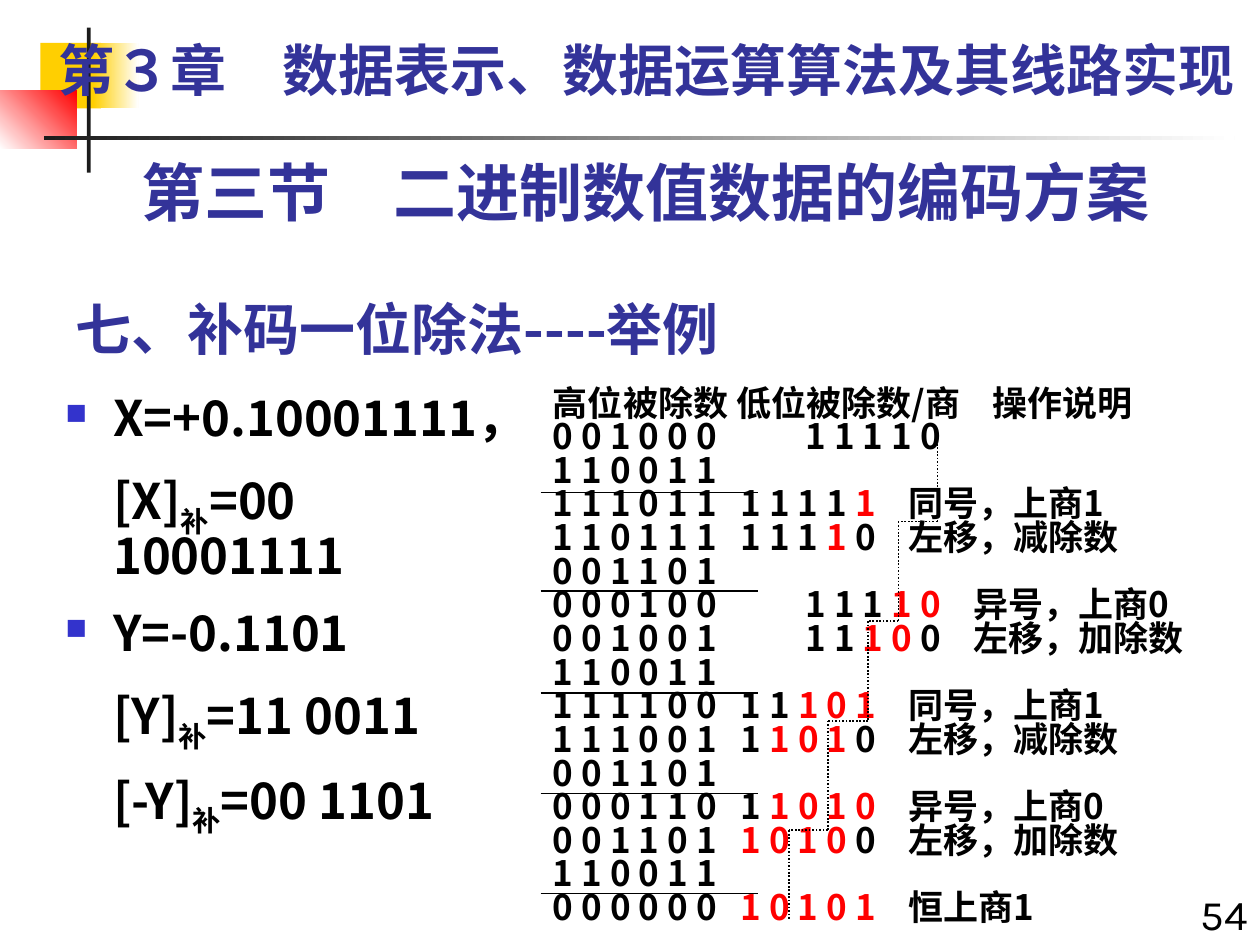
from dataclasses import dataclass
from itertools import pairwise
from typing import Optional

from lxml.etree import SubElement
from pptx import Presentation
from pptx.dml.color import RGBColor
from pptx.enum.dml import MSO_LINE_DASH_STYLE as Dash
from pptx.enum.shapes import MSO_CONNECTOR as Connector, MSO_SHAPE as Shape
from pptx.enum.text import MSO_ANCHOR as Anchor, PP_ALIGN as Align
from pptx.oxml.ns import qn
from pptx.util import Emu, Inches, Pt

COLUMNS, ROWS = 100, 75
UNIT = Inches(0.1)
BLACK = RGBColor(0x00, 0x00, 0x00)
WHITE = RGBColor(0xFF, 0xFF, 0xFF)
INK = RGBColor(0x1C, 0x1C, 0x1C)
GOLD = RGBColor(0xFF, 0xCF, 0x01)
RED = RGBColor(0xFF, 0x00, 0x00)
NAVY = RGBColor(0x33, 0x33, 0x99)
BULLET = RGBColor(0x33, 0x33, 0xCC)
SANS, KARLA, SERIF = "Noto Sans CJK SC", "Karla", "Times New Roman"


@dataclass(frozen=True)
class Box:
    left: float
    top: float
    width: float
    height: float


@dataclass(frozen=True)
class Block:
    box: Box
    start: RGBColor
    end: Optional[RGBColor] = None
    angle: float = 0


@dataclass(frozen=True)
class Run:
    text: str
    font: Optional[str] = None
    color: Optional[RGBColor] = None
    subscript: bool = False


@dataclass(frozen=True)
class Line:
    runs: tuple
    bullet: bool = False
    tabs: tuple = ()


@dataclass(frozen=True)
class Step:
    high: str
    black: str = ""
    red: str = ""
    tail: str = ""
    note: str = ""
    shifted: bool = False


BLOCKS = (
    Block(Box(3.2, 3.4, 4.8, 5.2), GOLD),
    Block(Box(7.4, 3.4, 3.6, 5.2), GOLD, WHITE),
    Block(Box(0, 7.2, 6.1, 4.6), WHITE, RED, 45),
    Block(Box(6.9, 2.2, 0.3, 11.5), INK),
    Block(Box(3.5, 10.8, 94.5, 0.3), INK, WHITE),
)
STEPS = (
    Step("0 0 1 0 0 0", "1 1 1 1 0", shifted=True),
    Step("1 1 0 0 1 1"),
    Step("1 1 1 0 1 1", "1 1 1 1 ", "1", note="同号，上商1"),
    Step("1 1 0 1 1 1", "1 1 1 ", "1 ", "0", "左移，减除数"),
    Step("0 0 1 1 0 1"),
    Step("0 0 0 1 0 0", "1 1 1 ", "1 0", note="异号，上商0", shifted=True),
    Step("0 0 1 0 0 1", "1 1 ", "1 0 ", "0", "左移，加除数", True),
    Step("1 1 0 0 1 1"),
    Step("1 1 1 1 0 0", "1 1 ", "1 0 1", note="同号，上商1"),
    Step("1 1 1 0 0 1", "1 ", "1 0 1 ", "0", "左移，减除数"),
    Step("0 0 1 1 0 1"),
    Step("0 0 0 1 1 0", "1 ", "1 0 1 0", note="异号，上商0"),
    Step("0 0 1 1 0 1", "", "1 0 1 0 ", "0", "左移，加除数"),
    Step("1 1 0 0 1 1"),
    Step("0 0 0 0 0 0", "", "1 0 1 0 1", note="恒上商1"),
)
RULE_ROWS = (39.1, 46.9, 55, 63, 70.9)
STAIR_COLUMNS = (74.4, 71.3, 68.9, 65.7, 62.6)
STAIR_ROWS = (34.4, 41.4, 49.3, 57.2, 65.9, 72.9)


def units(value: float) -> Emu:
    """Convert grid units to a length."""
    return Emu(round(value * UNIT))


def place(box: Box) -> tuple:
    """Return the position and size of a box as lengths."""
    return tuple(units(value) for value in (box.left, box.top, box.width, box.height))


def add_block(slide, block: Block) -> None:
    """Draw one plain or graded rectangle of the slide's ornament."""
    shape = slide.shapes.add_shape(Shape.RECTANGLE, *place(block.box))
    shape.shadow.inherit = False
    shape.line.fill.background()
    if block.end is None:
        shape.fill.solid()
        shape.fill.fore_color.rgb = block.start
        return
    shape.fill.gradient()
    shape.fill.gradient_angle = block.angle
    for stop, color in zip(shape.fill.gradient_stops, (block.start, block.end)):
        stop.color.rgb = color


def add_line(slide, start: tuple, end: tuple, width: float, dash=None) -> None:
    """Draw one straight black line between two grid points."""
    line = slide.shapes.add_connector(Connector.STRAIGHT, *map(units, start + end))
    line.line.color.rgb = BLACK
    line.line.width = Pt(width)
    if dash:
        line.line.dash_style = dash
    SubElement(line._element.spPr, qn("a:effectLst"))


def format_paragraph(paragraph, line: Line, indent: float, hanging: float) -> None:
    """Set the margin, bullet and tab stops of a paragraph."""
    properties = paragraph._p.get_or_add_pPr()
    if indent:
        properties.set("marL", str(units(indent)))
        properties.set("indent", str(-units(hanging)))
    if line.bullet:
        color = SubElement(properties, qn("a:buClr"))
        SubElement(color, qn("a:srgbClr"), val=str(BULLET))
        SubElement(properties, qn("a:buSzPct"), val="60000")
        SubElement(properties, qn("a:buChar"), char="■")
    else:
        SubElement(properties, qn("a:buNone"))
    if line.tabs:
        tabs = SubElement(properties, qn("a:tabLst"))
        for stop in line.tabs:
            SubElement(tabs, qn("a:tab"), pos=str(units(stop)), algn="l")


def add_text(slide, box: Box, lines: tuple, *, size: float, font: str = SANS,
             color: RGBColor = BLACK, bold: bool = True, align=Align.LEFT,
             anchor=Anchor.TOP, spacing: float = 1, before: float = 0,
             indent: float = 0, hanging: float = 0) -> None:
    """Write formatted lines in a text box."""
    frame = slide.shapes.add_textbox(*place(box)).text_frame
    frame.word_wrap = True
    frame.vertical_anchor = anchor
    for index, line in enumerate(lines):
        paragraph = frame.add_paragraph() if index else frame.paragraphs[0]
        first_line = hanging if hanging or not line.bullet else indent
        format_paragraph(paragraph, line, indent, first_line)
        paragraph.alignment = align
        paragraph.line_spacing = spacing
        paragraph.space_before = Pt(before if index else 0)
        for part in line.runs:
            run = paragraph.add_run()
            run.text = part.text
            run.font.size = Pt(size)
            run.font.bold = bold
            run.font.color.rgb = part.color or color
            run.font.name = part.font or font
            properties = run._r.get_or_add_rPr()
            SubElement(properties, qn("a:ea"), typeface=SANS)
            if part.subscript:
                properties.set("baseline", "-25000")


def plain(text: str, bullet: bool = False) -> Line:
    """Return a line of one run."""
    return Line((Run(text),), bullet)


def complement(name: str, value: str) -> Line:
    """Return a line that gives the complement code of a number."""
    return Line((Run(f"[{name}]"), Run("补", subscript=True), Run(f"={value}")))


def division_line(step: Step) -> Line:
    """Return a line of the division table with its quotient bits in red."""
    shift = 5.15 if step.shifted else 0
    low = f"\t{step.black}" if step.black or step.red else ""
    note = f"{step.tail}\t{step.note}" if step.note else step.tail
    parts = (Run(step.high + low), Run(step.red, color=RED), Run(note))
    return Line(tuple(part for part in parts if part.text),
                tabs=(14.9 + shift, 28.2 + shift))


def main() -> None:
    """Build the slide and save it."""
    presentation = Presentation()
    presentation.slide_width, presentation.slide_height = units(COLUMNS), units(ROWS)
    slide = presentation.slides.add_slide(presentation.slide_layouts[6])
    for block in BLOCKS:
        add_block(slide, block)
    add_text(slide, Box(5, 21.7, 95, 7.5), (plain("七、补码一位除法----举例"),),
             size=32, color=NAVY, anchor=Anchor.BOTTOM)
    add_text(slide, Box(5, 11.7, 92.5, 7), (plain("第三节　二进制数值数据的编码方案"),),
             size=36, font=KARLA, color=NAVY, align=Align.CENTER)
    operands = (plain("X=+0.10001111，", True), complement("X", "00 10001111"),
                plain("Y=-0.1101", True), complement("Y", "11 0011"),
                complement("-Y", "00 1101"))
    add_text(slide, Box(4.2, 30.8, 38.8, 44.2), operands, size=28, spacing=0.9,
             before=14, indent=3.8)
    chapter = Line((Run("第３章　", SERIF), Run("数据表示、数据运算算法及其线路实现")))
    add_text(slide, Box(2.7, 1.7, 97.3, 8.3), (chapter,), size=32, font=KARLA,
             color=NAVY, align=Align.CENTER, anchor=Anchor.MIDDLE, spacing=0.9,
             indent=3.8, hanging=3.8)
    heading = Line((Run("高位被除数 低位被除数/商\t操作说明"),), tabs=(34.9,))
    add_text(slide, Box(42.9, 30.4, 57.1, 43.7),
             (heading, *map(division_line, STEPS)), size=20, spacing=0.8)
    for row in RULE_ROWS:
        add_line(slide, (42.9, row), (60.2, row), 0.75)
    stairs = [(column, row) for column, rows in zip(STAIR_COLUMNS, pairwise(STAIR_ROWS))
              for row in rows]
    for start, end in pairwise(stairs):
        add_line(slide, start, end, 1, Dash.ROUND_DOT)
    add_text(slide, Box(93.3, 70, 6.7, 5.9), (plain("54"),), size=24, font=KARLA,
             bold=False, align=Align.RIGHT)
    presentation.save("out.pptx")


if __name__ == "__main__":
    main()
